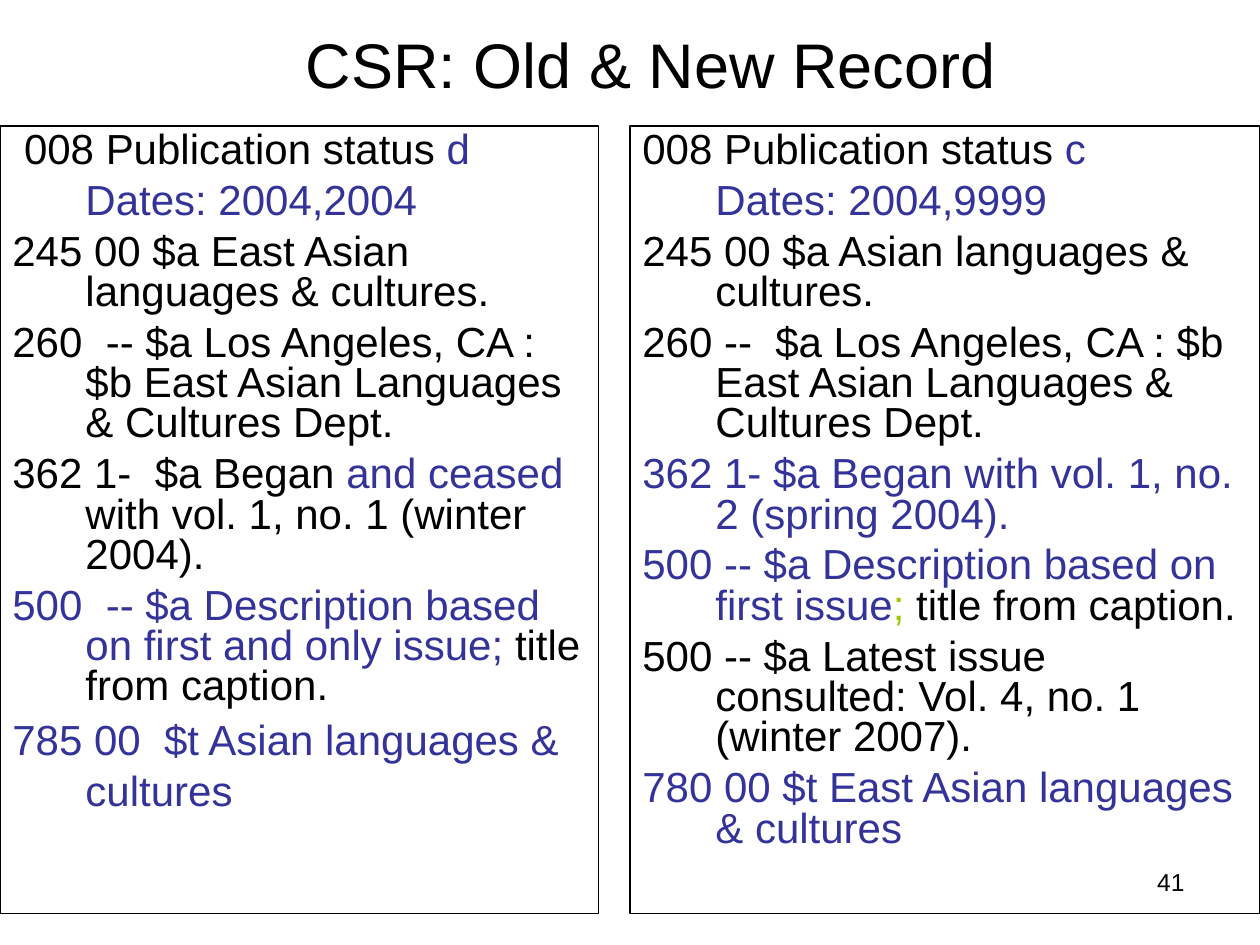
from dataclasses import dataclass

from lxml import etree
from pptx import Presentation
from pptx.dml.color import RGBColor
from pptx.enum.text import MSO_ANCHOR, MSO_AUTO_SIZE, PP_ALIGN
from pptx.oxml.ns import qn
from pptx.util import Inches, Pt

CENTER = PP_ALIGN.CENTER
RIGHT = PP_ALIGN.RIGHT
TOP = MSO_ANCHOR.TOP
MIDDLE = MSO_ANCHOR.MIDDLE
NO_AUTOFIT = MSO_AUTO_SIZE.NONE


@dataclass(frozen=True)
class Theme:
    font: str = "Arial"
    black: RGBColor = RGBColor(0x00, 0x00, 0x00)
    blue: RGBColor = RGBColor(0x33, 0x33, 0x99)
    green: RGBColor = RGBColor(0x99, 0xCC, 0x00)
    title_size: int = 36
    field_size: int = 24
    wide_size: int = 32
    number_size: int = 14


THEME = Theme()
BLACK, BLUE, GREEN = THEME.black, THEME.blue, THEME.green

# Each field is a list of runs: text, colour and, where it differs, size.
OLD_RECORD = [
    [(" 008 Publication status ", BLACK), ("d", BLUE)],
    [("\t", GREEN), ("Dates: 2004,2004", BLUE)],
    [("245 00 $a East Asian languages & cultures.", BLACK)],
    [("260  -- $a Los Angeles, CA : $b East Asian Languages & Cultures Dept.", BLACK)],
    [("362 1-  $a Began ", BLACK), ("and ceased", BLUE),
     (" with vol. 1, no. 1 (winter 2004).", BLACK)],
    [("500  -- $a Description based on first and only issue; ", BLUE),
     ("title from caption.", BLACK)],
    [("785 00  $t Asian languages & cultures", BLUE), (" ", BLACK, THEME.wide_size)],
]
NEW_RECORD = [
    [("008 Publication status ", BLACK), ("c", BLUE)],
    [("\t", GREEN), ("Dates: 2004,9999", BLUE)],
    [("245 00 $a Asian languages & cultures.", BLACK)],
    [("260 --  $a Los Angeles, CA : $b East Asian Languages & Cultures Dept.", BLACK)],
    [("362 1- $a Began with vol. 1, no. 2 (spring 2004).", BLUE)],
    [("500 -- $a Description based on first issue", BLUE), ("; ", GREEN),
     ("title from caption.", BLACK)],
    [("500 -- $a Latest issue consulted: Vol. 4, no. 1 (winter 2007).", BLACK)],
    [("780 00 $t East Asian languages & cultures", BLUE)],
]


def add_run(paragraph, text, color, size):
    run = paragraph.add_run()
    run.text = text
    run.font.name = THEME.font
    run.font.size = Pt(size)
    run.font.color.rgb = color


def prepare_frame(shape, anchor):
    frame = shape.text_frame
    frame.word_wrap = True
    frame.auto_size = NO_AUTOFIT
    frame.vertical_anchor = anchor
    return frame


def set_hanging_indent(paragraph):
    """Hang the field text after its tag, with a tab stop at every inch."""
    properties = paragraph._p.get_or_add_pPr()
    properties.set("marL", str(Inches(0.58)))
    properties.set("indent", str(Inches(-0.58)))
    tabs = etree.SubElement(properties, qn("a:tabLst"))
    for inch in range(8):
        etree.SubElement(tabs, qn("a:tab"), pos=str(Inches(inch)), algn="l")


def add_title(slide, text):
    title = slide.shapes.title
    title.left, title.top = Inches(0.33), Inches(0)
    title.width, title.height = Inches(9.67), Inches(1)
    paragraph = prepare_frame(title, MIDDLE).paragraphs[0]
    paragraph.alignment = CENTER
    add_run(paragraph, text, BLACK, THEME.title_size)


def add_record(slide, left, width, fields, last_space=6):
    box = slide.shapes.add_textbox(Inches(left), Inches(1), Inches(width), Inches(6.25))
    box.line.color.rgb = BLACK
    box.line.width = Pt(0.75)
    frame = prepare_frame(box, TOP)
    for index, runs in enumerate(fields):
        paragraph = frame.add_paragraph() if index else frame.paragraphs[0]
        set_hanging_indent(paragraph)
        paragraph.line_spacing = 0.8
        if index:
            is_last = index == len(fields) - 1
            paragraph.space_before = Pt(last_space if is_last else 6)
        for text, color, *size in runs:
            add_run(paragraph, text, color, size[0] if size else THEME.field_size)


def add_slide_number(slide, number):
    box = slide.shapes.add_textbox(Inches(7.17), Inches(6.83), Inches(2.33), Inches(0.52))
    paragraph = prepare_frame(box, TOP).paragraphs[0]
    paragraph.alignment = RIGHT
    add_run(paragraph, number, BLACK, THEME.number_size)


def main():
    presentation = Presentation()
    presentation.slide_width = Inches(10)
    presentation.slide_height = Inches(7.5)
    slide = presentation.slides.add_slide(presentation.slide_layouts[5])
    add_title(slide, "CSR: Old & New Record")
    add_record(slide, 0, 4.75, OLD_RECORD, last_space=8)
    add_record(slide, 5, 5, NEW_RECORD)
    add_slide_number(slide, "41")
    presentation.save("out.pptx")


if __name__ == "__main__":
    main()
